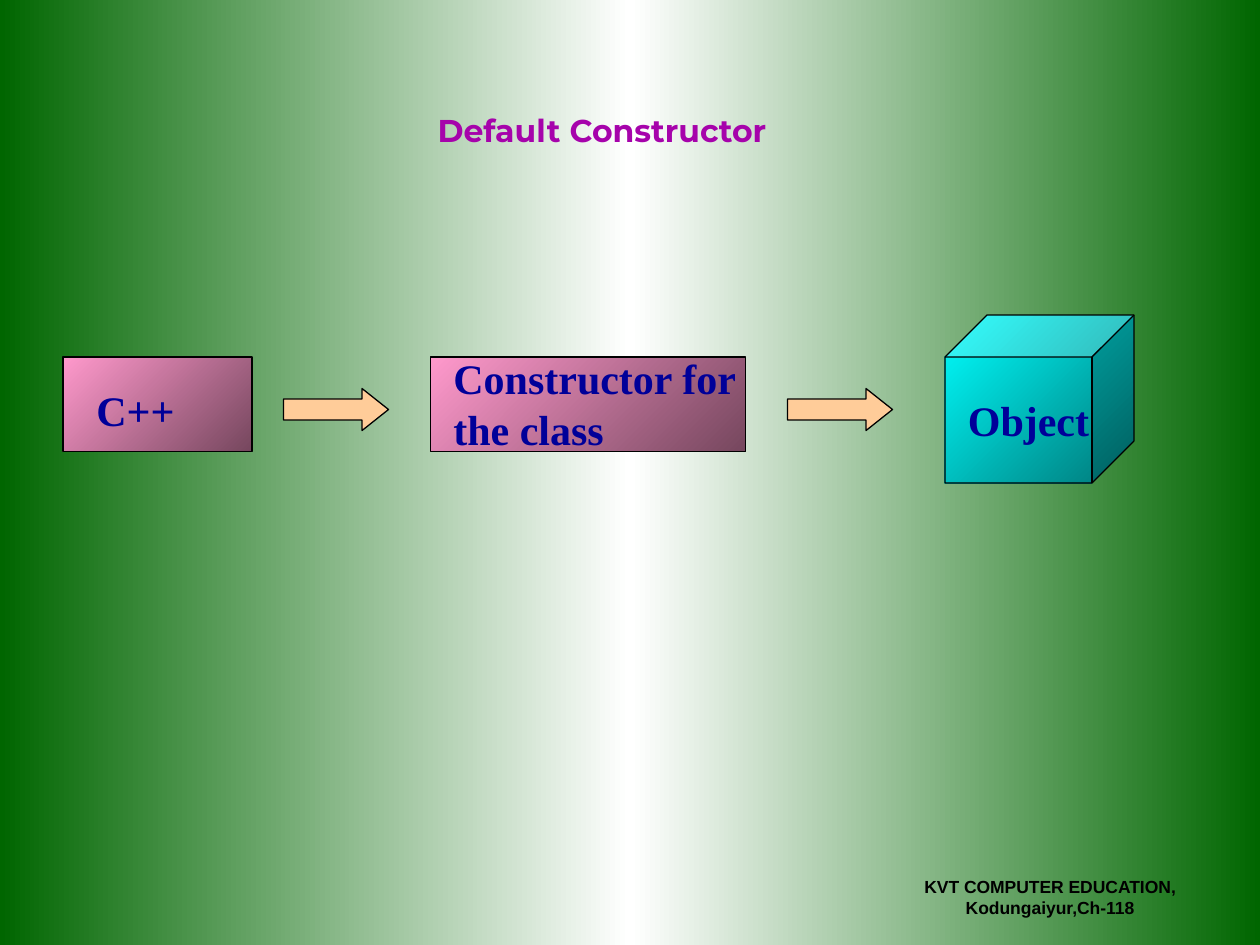
import copy

import pptx
import pptx.dml.color
import pptx.enum.shapes
import pptx.enum.text
import pptx.oxml
import pptx.oxml.ns
import pptx.util

Pt = pptx.util.Pt
MSO_SHAPE = pptx.enum.shapes.MSO_SHAPE
PP_ALIGN = pptx.enum.text.PP_ALIGN
qn = pptx.oxml.ns.qn

PINK = ("FF99CC", "76475E")
CYAN = ("00FFFF", "007676")
GREEN, WHITE, BLACK = "006600", "FFFFFF", "000000"
PEACH, NAVY, PURPLE, PALE_GREY = "FFCC99", "000099", "A603AB", "EAEAEA"


def rgb(value):
    return pptx.dml.color.RGBColor.from_string(value)


class SlideBuilder:
    label_format = {"name": "Times New Roman", "size": Pt(24), "bold": True}
    title_format = {"name": "Montserrat", "size": Pt(18), "bold": True}
    footer_format = {"name": "Arial", "size": Pt(10), "bold": True}

    def __init__(self, slide):
        self.slide = slide

    def color_stops(self, fill, colors):
        """Spread the colours evenly over the gradient's stops."""
        for index, (stop, color) in enumerate(zip(fill.gradient_stops, colors)):
            stop.position = index / (len(colors) - 1)
            stop.color.rgb = rgb(color)

    def background(self, edge, middle):
        """Fill with a left-to-right gradient, the same at both edges."""
        fill = self.slide.background.fill
        fill.gradient()
        fill.gradient_angle = 0
        stops = self.slide.element.find(".//" + qn("a:gsLst"))
        stops.append(copy.deepcopy(stops[-1]))
        self.color_stops(fill, (edge, middle, edge))

    def shape(self, kind, left, top, width, height, colors, adjustments=()):
        """Draw an outlined shape; a pair of colours gives a diagonal gradient."""
        shape = self.slide.shapes.add_shape(
            kind, Pt(left), Pt(top), Pt(width), Pt(height)
        )
        shape.shadow.inherit = False
        for index, value in enumerate(adjustments):
            shape.adjustments[index] = value
        if isinstance(colors, str):
            shape.fill.solid()
            shape.fill.fore_color.rgb = rgb(colors)
        else:
            shape.fill.gradient()
            shape.fill.gradient_angle = 315
            self.color_stops(shape.fill, colors)
        shape.line.color.rgb = rgb(BLACK)
        shape.line.width = Pt(0.75)

    def add_words(self, frame, words, style, color, align):
        frame.vertical_anchor = pptx.enum.text.MSO_ANCHOR.TOP
        paragraph = frame.paragraphs[0]
        paragraph.alignment = align
        run = paragraph.add_run()
        run.text = words
        for name, value in style.items():
            setattr(run.font, name, value)
        run.font.color.rgb = rgb(color)
        return run

    def text(self, words, left, top, width, height, style, color,
             align=PP_ALIGN.LEFT):
        box = self.slide.shapes.add_textbox(
            Pt(left), Pt(top), Pt(width), Pt(height)
        )
        box.text_frame.word_wrap = True
        self.add_words(box.text_frame, words, style, color, align)

    def title(self, words, left, top, width, height):
        title = self.slide.shapes.title
        title.left, title.top = Pt(left), Pt(top)
        title.width, title.height = Pt(width), Pt(height)
        frame = title.text_frame
        frame.word_wrap = False
        frame.auto_size = pptx.enum.text.MSO_AUTO_SIZE.NONE
        run = self.add_words(
            frame, words, self.title_format, PURPLE, PP_ALIGN.CENTER
        )
        outline = pptx.oxml.parse_xml(
            f'<a:ln {pptx.oxml.ns.nsdecls("a")} w="{Pt(1)}"><a:solidFill>'
            f'<a:srgbClr val="{PALE_GREY}"/></a:solidFill></a:ln>'
        )
        run._r.get_or_add_rPr().insert(0, outline)


def main():
    deck = pptx.Presentation()
    deck.slide_width, deck.slide_height = Pt(720), Pt(540)
    builder = SlideBuilder(deck.slides.add_slide(deck.slide_layouts[5]))
    builder.background(GREEN, WHITE)
    builder.title("Default Constructor", 144, 60, 400, 51)

    for left, width in ((36, 108), (246, 180)):
        builder.shape(MSO_SHAPE.RECTANGLE, left, 204, width, 54, PINK)
    builder.shape(MSO_SHAPE.CUBE, 540, 180, 108, 96, CYAN, (0.25,))
    for left in (162, 450):
        builder.shape(
            MSO_SHAPE.RIGHT_ARROW, left, 222, 60, 24, PEACH, (0.5, 0.63)
        )

    for words, *place in (
        ("C++", 48, 216, 96, 36),
        ("Constructor for the class", 252, 198, 180, 65),
        ("Object", 546, 222, 84.25, 36),
    ):
        builder.text(words, *place, builder.label_format, NAVY)

    builder.text(
        "KVT COMPUTER EDUCATION, Kodungaiyur,Ch-118",
        486, 496.8, 228, 37.5, builder.footer_format, BLACK, PP_ALIGN.CENTER,
    )
    deck.save("out.pptx")


if __name__ == "__main__":
    main()
